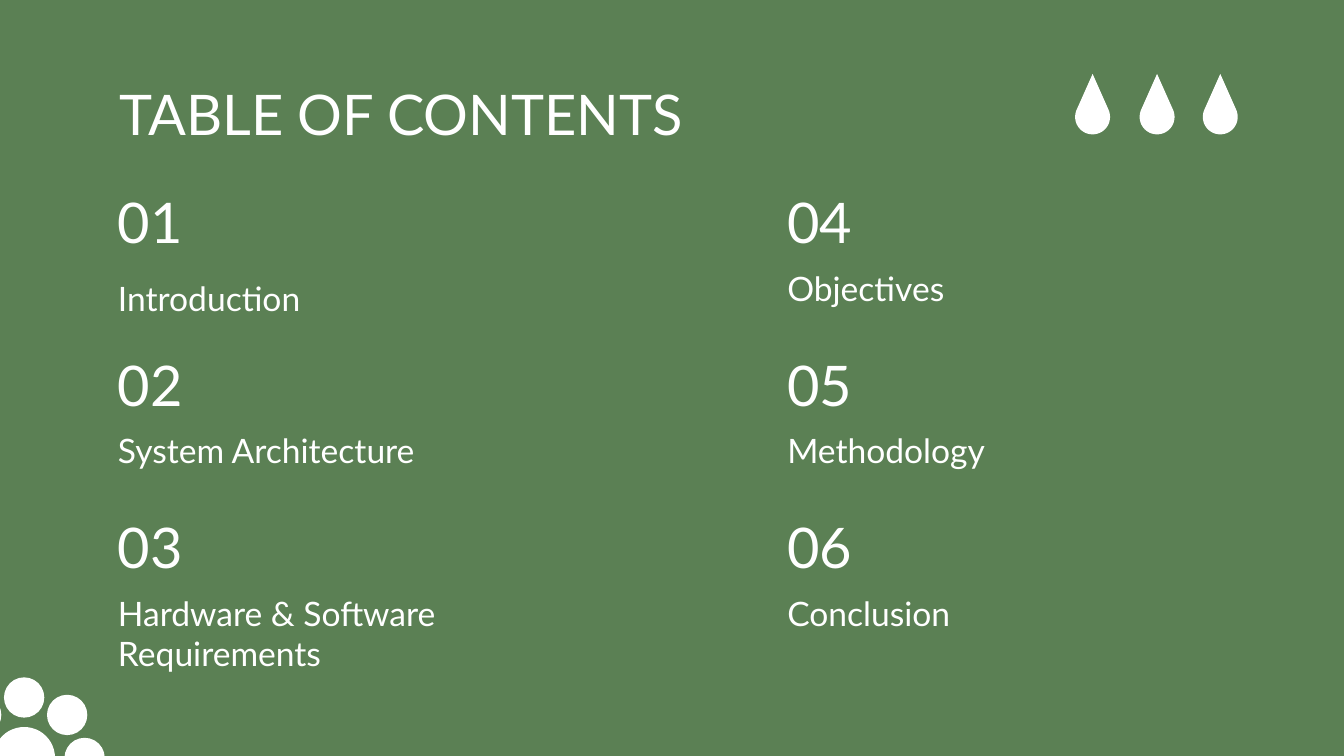
from math import cos, radians, sin

from pptx import Presentation
from pptx.dml.color import RGBColor
from pptx.enum.shapes import MSO_SHAPE
from pptx.enum.text import MSO_ANCHOR
from pptx.util import Inches, Pt

GREEN = RGBColor(0x5B, 0x80, 0x54)
WHITE = RGBColor(0xFF, 0xFF, 0xFF)
FONT = "Lato"

TITLE = "TABLE OF CONTENTS"
COLUMNS = [
    (0.78, 3.94, ["Introduction", "System Architecture", "Hardware & Software Requirements"]),
    (5.76, 3.46, ["Objectives", "Methodology", "Conclusion"]),
]
TOP, STEP, DROP = 1.4, 1.21, 0.49
LOWER = {"Introduction": 0.08}

PAW = [
    (0.18, 5.64, 0.46),
    (0.18, 5.19, 0.3),
    (0.63, 5.64, 0.3),
    (-0.14, 5.32, 0.3),
    (0.5, 5.32, 0.3),
]
DROPS = [8.13, 8.61, 9.08]
TIP, BELLY, RADIUS = 0.55, 0.87, 0.13


def paint(shape):
    shape.fill.solid()
    shape.fill.fore_color.rgb = WHITE
    shape.line.fill.background()
    shape.shadow.inherit = False


def add_dot(slide, x, y, size):
    left, top = x - size / 2, y - size / 2
    paint(slide.shapes.add_shape(
        MSO_SHAPE.OVAL, Inches(left), Inches(top), Inches(size), Inches(size)))


def add_drop(slide, x):
    arc = [(x + RADIUS * cos(radians(a)), BELLY + RADIUS * sin(radians(a)))
           for a in range(-25, 206, 5)]
    pen = slide.shapes.build_freeform(Inches(x), Inches(TIP))
    pen.add_line_segments([(Inches(px), Inches(py)) for px, py in arc])
    paint(pen.convert_to_shape())


def add_text(slide, text, left, top, width, height, size, anchor=MSO_ANCHOR.TOP):
    box = slide.shapes.add_textbox(
        Inches(left), Inches(top), Inches(width), Inches(height))
    frame = box.text_frame
    frame.word_wrap = True
    frame.vertical_anchor = anchor
    frame.margin_left = frame.margin_right = Inches(0.1)
    frame.margin_top = frame.margin_bottom = Inches(0.1)
    frame.text = text
    font = frame.paragraphs[0].runs[0].font
    font.name = FONT
    font.size = Pt(size)
    font.color.rgb = WHITE


def main():
    deck = Presentation()
    deck.slide_width = Inches(10)
    deck.slide_height = deck.slide_width * 9 // 16
    slide = deck.slides.add_slide(deck.slide_layouts[6])
    slide.background.fill.solid()
    slide.background.fill.fore_color.rgb = GREEN

    for dot in PAW:
        add_dot(slide, *dot)

    add_text(slide, TITLE, 0.79, 0.49, 8.43, 0.63, 30)
    number = 0
    for left, width, topics in COLUMNS:
        for row, topic in enumerate(topics):
            number += 1
            top = TOP + row * STEP
            add_text(slide, f"{number:02}", left, top, 0.8, 0.49, 30, MSO_ANCHOR.MIDDLE)
            add_text(slide, topic, left, top + DROP + LOWER.get(topic, 0), width, 0.56, 18)

    for x in DROPS:
        add_drop(slide, x)

    deck.save("out.pptx")


if __name__ == "__main__":
    main()
